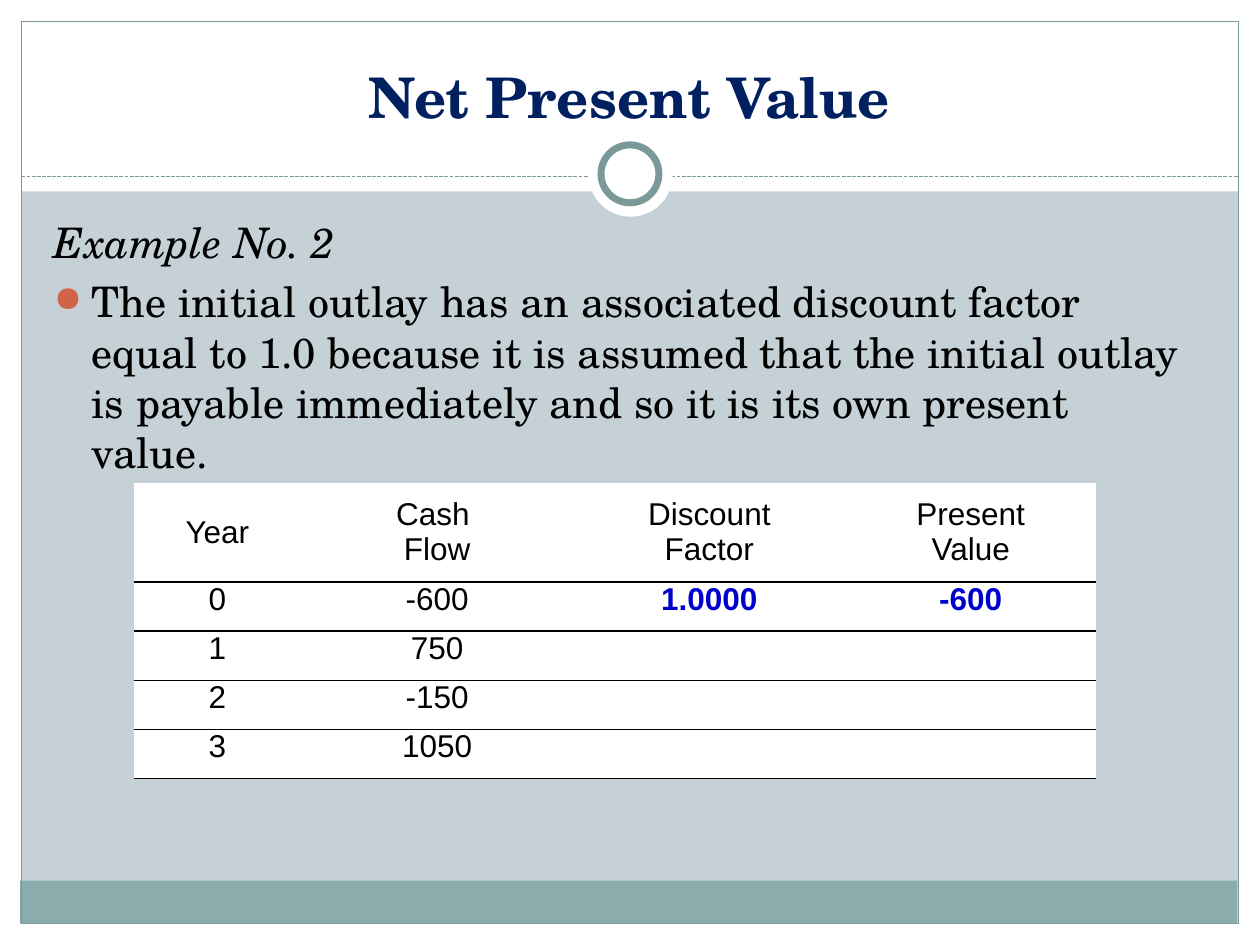
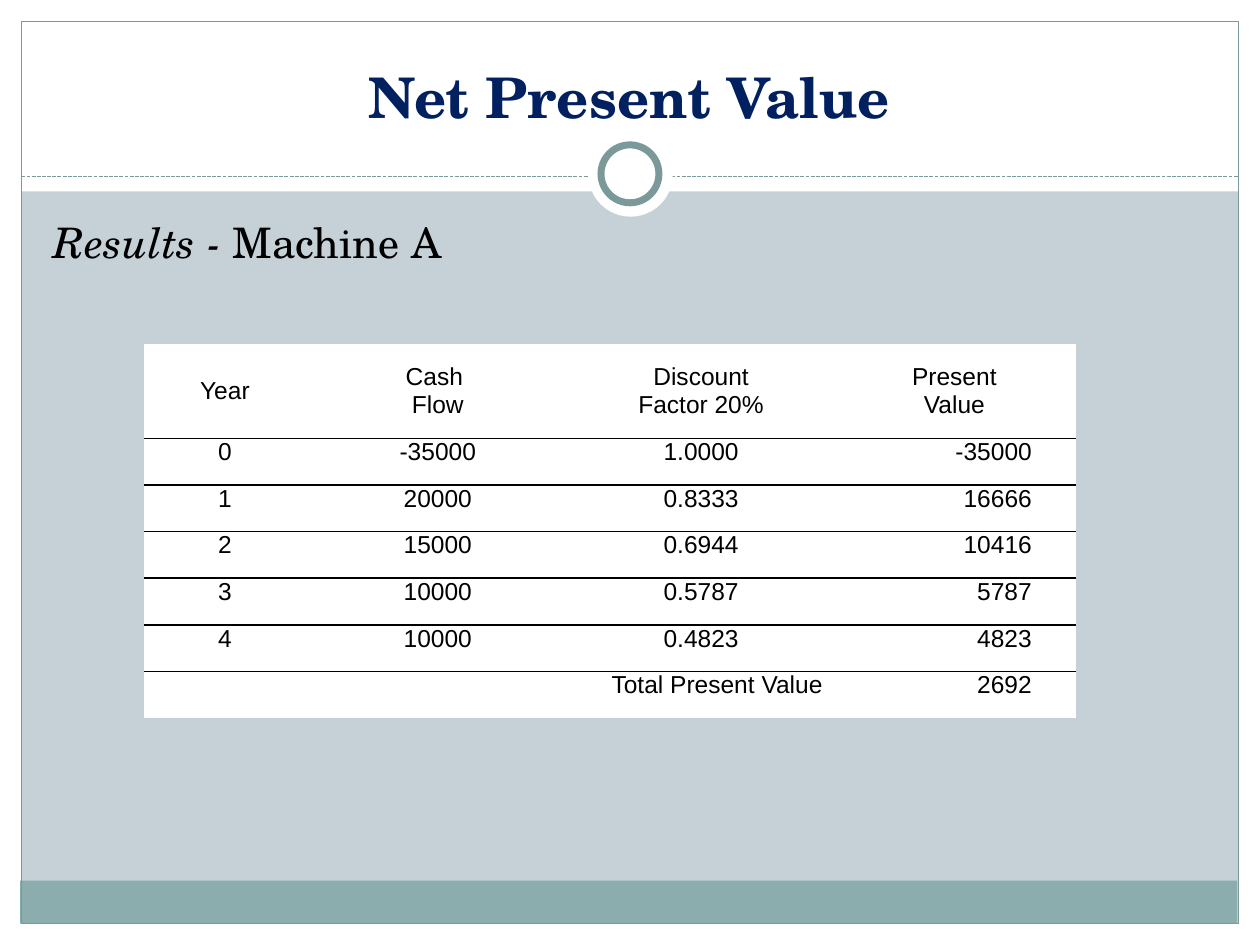
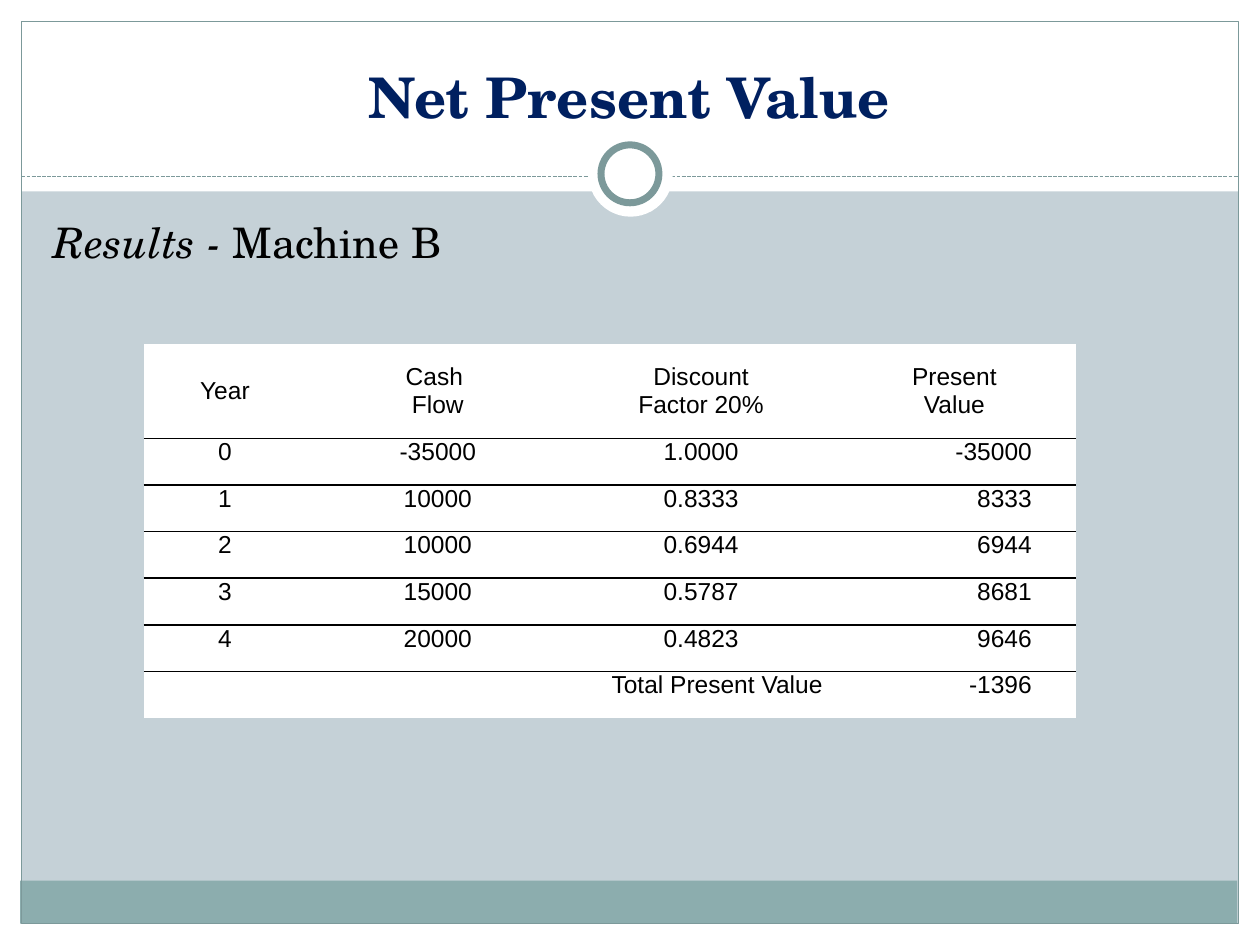
from lxml.etree import SubElement
from pptx import Presentation
from pptx.dml.color import RGBColor
from pptx.enum.dml import MSO_LINE
from pptx.enum.shapes import MSO_CONNECTOR, MSO_SHAPE
from pptx.enum.text import MSO_ANCHOR, PP_ALIGN
from pptx.oxml.ns import qn
from pptx.util import Inches, Pt

COLORS = {
    "background": "C5D1D7",
    "white": "FFFFFF",
    "band": "8CADAE",
    "frame": "7C999A",
    "title": "002060",
    "text": "000000",
    "highlight": "0000CC",
    "bullet": "D16349",
}
SERIF = "TeX Gyre Schola"
SANS = "Arial"
WIDTH, HEIGHT = 10, 7.5
MARGIN = 0.17
INNER_WIDTH = WIDTH - 2 * MARGIN
CELL_MARGIN = 0.08
VALUE_MARGIN = 0.35
DISCOUNT_FACTORS = ["1.0000", "0.8333", "0.6944", "0.5787", "0.4823"]


def color(name):
    return RGBColor.from_string(COLORS[name])


def format_font(font, name, size, color_name, bold=False, italic=False):
    font.name = name
    font.size = Pt(size)
    font.color.rgb = color(color_name)
    font.bold = bold
    font.italic = italic


def add_box(slide, geometry, left, top, width, height, fill=None, line_width=None):
    shape = slide.shapes.add_shape(
        geometry, Inches(left), Inches(top), Inches(width), Inches(height))
    shape.shadow.inherit = False
    if fill:
        shape.fill.solid()
        shape.fill.fore_color.rgb = color(fill)
    else:
        shape.fill.background()
    if line_width:
        shape.line.color.rgb = color("frame")
        shape.line.width = Pt(line_width)
    else:
        shape.line.fill.background()
    return shape


def add_dashed_line(slide, left, right, top):
    connector = slide.shapes.add_connector(
        MSO_CONNECTOR.STRAIGHT, Inches(left), Inches(top), Inches(right), Inches(top))
    connector.line.color.rgb = color("frame")
    connector.line.width = Pt(0.75)
    connector.line.dash_style = MSO_LINE.SQUARE_DOT
    SubElement(connector.element.spPr, qn("a:effectLst"))
    return connector


def decorate_layout(layout, slide):
    layout.background.fill.solid()
    layout.background.fill.fore_color.rgb = color("background")
    for placeholder in list(layout.placeholders)[1:]:
        layout.shapes.element.remove(placeholder.element)
    rectangle, oval = MSO_SHAPE.RECTANGLE, MSO_SHAPE.OVAL
    decorations = [
        add_box(slide, rectangle, 0, HEIGHT - MARGIN, WIDTH, MARGIN, "white"),
        add_box(slide, rectangle, 0, 0, WIDTH, 1.52, "white"),
        add_box(slide, rectangle, 0, 0, MARGIN, HEIGHT, "white"),
        add_box(slide, rectangle, WIDTH - MARGIN, 0, MARGIN, HEIGHT, "white"),
        add_box(slide, rectangle, 0.16, 6.99, INNER_WIDTH, 0.34, "band"),
        add_box(slide, rectangle, MARGIN, MARGIN, INNER_WIDTH,
                HEIGHT - 2 * MARGIN, line_width=0.75),
        add_dashed_line(slide, MARGIN, WIDTH - MARGIN, 1.4),
        add_box(slide, oval, 4.67, 1.05, 0.67, 0.67, "white"),
        add_box(slide, oval, 4.77, 1.15, 0.46, 0.46, "white", 4),
    ]
    for shape in decorations:
        layout.shapes.element.append(shape.element)


def set_title(slide, text):
    title = slide.shapes.title
    title.left, title.top = Inches(0.33), Inches(0.25)
    title.width, title.height = Inches(9.33), Inches(0.83)
    title.text_frame.text = text
    title.text_frame.vertical_anchor = MSO_ANCHOR.BOTTOM
    paragraph = title.text_frame.paragraphs[0]
    paragraph.alignment = PP_ALIGN.CENTER
    format_font(paragraph.runs[0].font, SERIF, 32, "title", bold=True)


def add_bullet(paragraph):
    properties = paragraph._p.get_or_add_pPr()
    properties.set("marL", str(Inches(0.3)))
    properties.set("indent", str(-Inches(0.3)))
    bullet_color = SubElement(properties, qn("a:buClr"))
    SubElement(bullet_color, qn("a:srgbClr"), val=COLORS["bullet"])
    SubElement(properties, qn("a:buSzPct"), val="85000")
    SubElement(properties, qn("a:buChar"), char="●")


def add_body(slide, italic_text, plain_text="", bullet_text=""):
    box = slide.shapes.add_textbox(Inches(0.33), Inches(1.67), Inches(9.16), Inches(5))
    frame = box.text_frame
    frame.word_wrap = True
    heading = frame.paragraphs[0]
    heading.space_before = Pt(5)
    for text, italic in [(italic_text, True), (plain_text, False)]:
        if text:
            run = heading.add_run()
            run.text = text
            format_font(run.font, SERIF, 24, "text", italic=italic)
    if bullet_text:
        paragraph = frame.add_paragraph()
        paragraph.text = bullet_text
        paragraph.space_before = Pt(5)
        add_bullet(paragraph)
        format_font(paragraph.runs[0].font, SERIF, 24, "text")


def set_borders(cell, sides):
    properties = cell._tc.get_or_add_tcPr()
    for side in "LRTB":
        line = SubElement(properties, qn("a:ln" + side), w=str(Pt(1)))
        if side in sides:
            fill = SubElement(line, qn("a:solidFill"))
            SubElement(fill, qn("a:srgbClr"), val=COLORS["text"])
        else:
            SubElement(line, qn("a:noFill"))


def fill_cell(cell, text, size, borders, alignment=PP_ALIGN.CENTER,
              right_margin=CELL_MARGIN, highlight=False):
    set_borders(cell, borders)
    cell.fill.solid()
    cell.fill.fore_color.rgb = color("white")
    cell.margin_left, cell.margin_right = Inches(CELL_MARGIN), Inches(right_margin)
    cell.margin_top = cell.margin_bottom = 0
    cell.text_frame.text = text
    for paragraph in cell.text_frame.paragraphs:
        paragraph.alignment = alignment
        for run in paragraph.runs:
            format_font(run.font, SANS, size, "highlight" if highlight else "text",
                        bold=highlight)


def add_grid(slide, left, top, column_widths, header_height, row_height, row_count):
    frame = slide.shapes.add_table(
        row_count, len(column_widths), Inches(left), Inches(top),
        Inches(sum(column_widths)),
        Inches(header_height + row_height * (row_count - 1)))
    table = frame.table
    table.first_row = False
    table.horz_banding = False
    for column, width in zip(table.columns, column_widths):
        column.width = Inches(width)
    for index, row in enumerate(table.rows):
        row.height = Inches(row_height if index else header_height)
    return table


def fill_header(table, factor_label, size):
    headings = ["Year", "Cash \nFlow", f"Discount\n{factor_label}", "Present\nValue"]
    for column, heading in enumerate(headings):
        cell = table.cell(0, column)
        fill_cell(cell, heading, size, "B")
        cell.vertical_anchor = MSO_ANCHOR.MIDDLE


def add_example_table(slide):
    rows = [("-600", "1.0000", "-600"), ("750", "", ""), ("-150", "", ""), ("1050", "", "")]
    table = add_grid(slide, 1.06, 3.83, [1.33, 2.16, 2.16, 1.99], 0.79, 0.39, len(rows) + 1)
    fill_header(table, "Factor", 18)
    for year, values in enumerate(rows):
        for column, text in enumerate((str(year), *values)):
            fill_cell(table.cell(year + 1, column), text, 18, "TB", highlight=column > 1)


def add_results_table(slide, cash_flows, present_values, total):
    row_count = len(cash_flows) + 2
    table = add_grid(slide, 1.14, 2.73, [1.29, 2.09, 2.09, 1.93], 0.75, 0.37, row_count)
    fill_header(table, "Factor 20%", 14)
    rows = zip(cash_flows, DISCOUNT_FACTORS, present_values)
    for year, (cash_flow, factor, present_value) in enumerate(rows):
        for column, text in enumerate([str(year), str(cash_flow), factor]):
            fill_cell(table.cell(year + 1, column), text, 14, "TB")
        fill_cell(table.cell(year + 1, 3), str(present_value), 14, "TB",
                  PP_ALIGN.RIGHT, VALUE_MARGIN)
    last = row_count - 1
    table.cell(last, 0).merge(table.cell(last, 2))
    for column in range(3):
        fill_cell(table.cell(last, column), "" if column else "Total Present Value",
                  14, "T", PP_ALIGN.RIGHT)
    fill_cell(table.cell(last, 3), str(total), 14, "T", PP_ALIGN.RIGHT, VALUE_MARGIN)


def main():
    presentation = Presentation()
    presentation.slide_width, presentation.slide_height = Inches(WIDTH), Inches(HEIGHT)
    layout = presentation.slide_layouts[5]
    example, machine_a, machine_b = [presentation.slides.add_slide(layout) for _ in range(3)]
    decorate_layout(layout, example)
    for slide in presentation.slides:
        set_title(slide, "Net Present Value")

    add_body(example, "Example No. 2", bullet_text=(
        "The initial outlay has an associated discount factor equal to 1.0 because "
        "it is assumed that the initial outlay is payable immediately and so it is "
        "its own present value."))
    add_example_table(example)

    add_body(machine_a, "Results - ", "Machine A")
    add_results_table(machine_a, [-35000, 20000, 15000, 10000, 10000],
                      [-35000, 16666, 10416, 5787, 4823], 2692)

    add_body(machine_b, "Results - ", "Machine B")
    add_results_table(machine_b, [-35000, 10000, 10000, 15000, 20000],
                      [-35000, 8333, 6944, 8681, 9646], -1396)

    presentation.save("out.pptx")


main()
